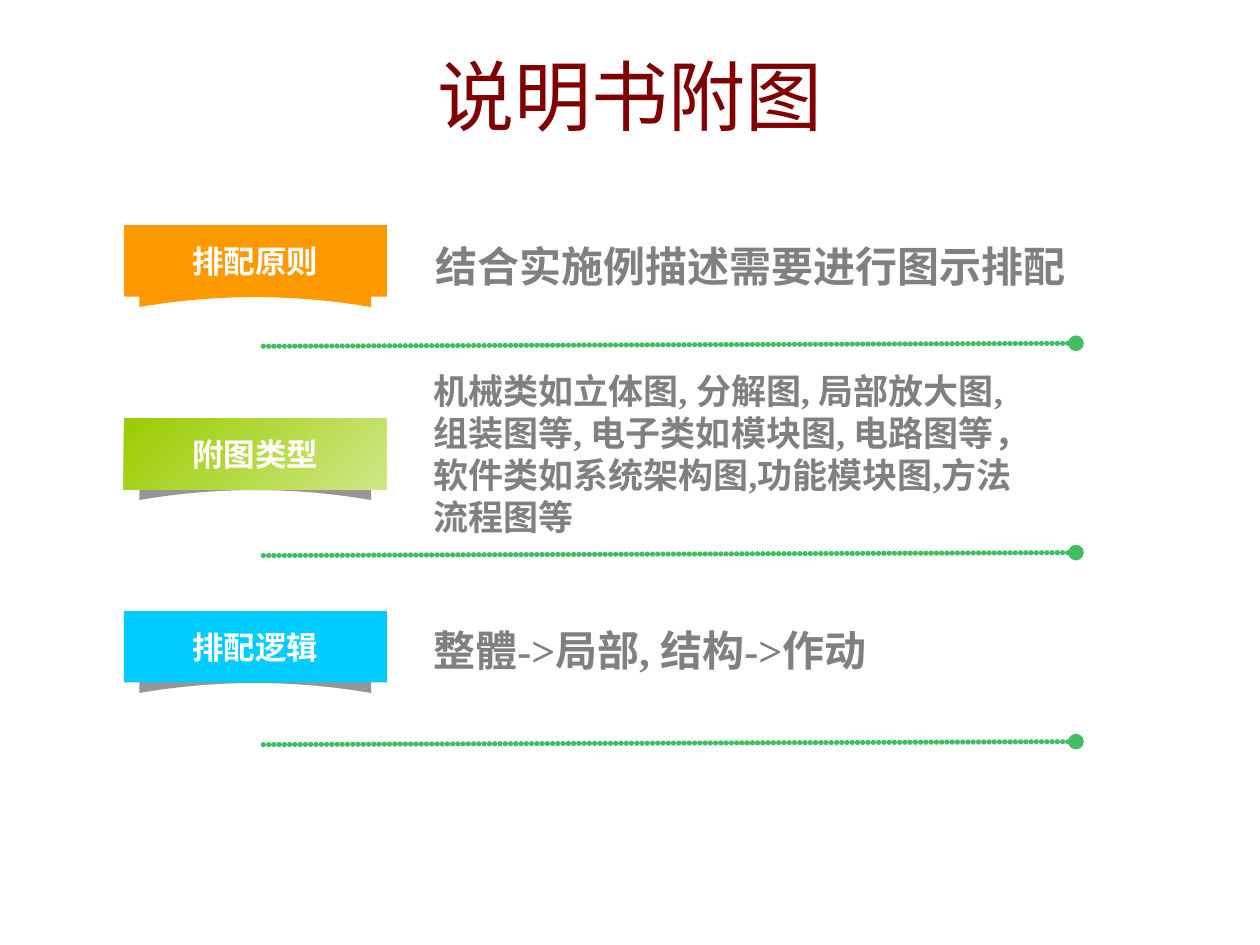
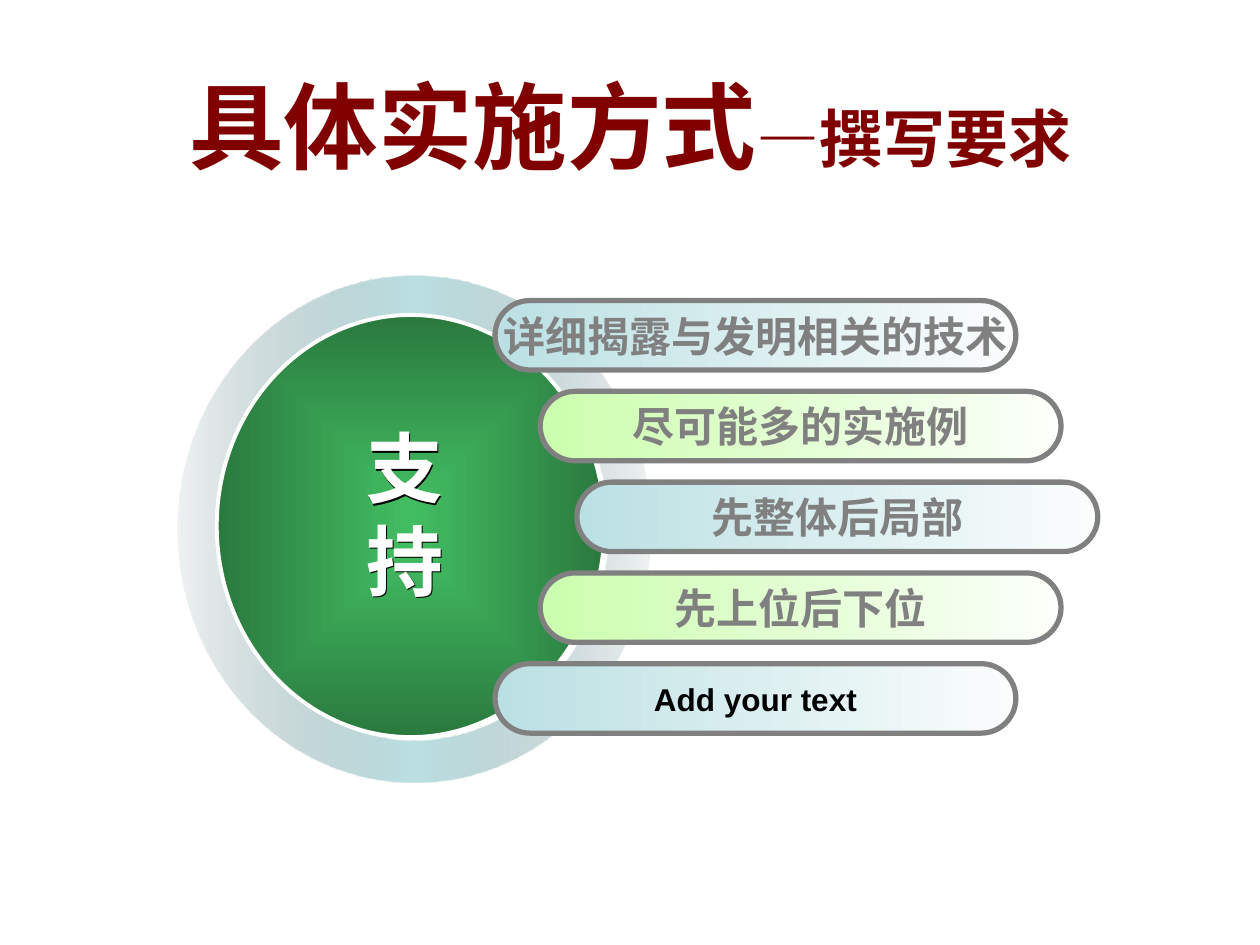
"""Build two slides on patent drawings and embodiment writing."""
from pptx import Presentation
from pptx import util as u
from pptx.dml.color import RGBColor
from pptx.enum import shapes, text
from pptx.oxml import parse_xml
from pptx.oxml.ns import nsdecls, qn

MAROON, GRAY, WHITE, GREEN = "800000", "808080", "FFFFFF", "42BE62"
SILVER, ICE = "969696", "BBE0E3"
CJK, SERIF, SANS = "Noto Sans CJK SC", "Times New Roman", "Arial"
ICE_FADE, LIME_FADE = [(0, ICE), (100, "FBFDFD")], [(0, "CBFEAE"), (100, "FCFFFA")]
HEADING = {"size": 24, "name": SERIF, "color": GRAY, "bold": True}


def rgb(value):
    """Turn a hex string into a colour."""
    return RGBColor.from_string(value)


def xml(tag, body="", attrs=""):
    """Make a drawing element from its tag, inner markup and attributes."""
    return parse_xml(f"<a:{tag} {nsdecls('a')} {attrs}>{body}</a:{tag}>")


def box(left, top, width, height):
    """Convert a rectangle in centimetres to lengths."""
    return [u.Cm(v) for v in (left, top, width, height)]


def add_run(p, words, size, name, color, bold=False):
    """Append one formatted run."""
    r = p.add_run()
    r.text = words
    for key, value in {"size": u.Pt(size), "name": name, "bold": bold}.items():
        setattr(r.font, key, value)
    r.font.color.rgb = rgb(color)
    r.font._element.find(qn("a:latin")).addnext(xml("ea", attrs=f'typeface="{CJK}"'))


def write(sp, words, fmt, align=text.PP_ALIGN.CENTER, anchor=text.MSO_ANCHOR.MIDDLE, wrap=False):
    """Fill a shape with one formatted paragraph."""
    tf = sp.text_frame
    for key, value in {"word_wrap": wrap, "vertical_anchor": anchor}.items():
        setattr(tf, key, value)
    p = tf.paragraphs[0]
    p.alignment = align
    p._p.get_or_add_pPr().set("hangingPunct", "0")
    add_run(p, words, **fmt)


def paint(sp, fill, angle=0, centred=False):
    """Give a shape a solid colour or a list of gradient stops."""
    sp.shadow.inherit = False
    sp.line.fill.background()
    sp.fill.solid()
    if isinstance(fill, str):
        sp.fill.fore_color.rgb = rgb(fill)
        return
    stops = ""
    for pos, color, *alpha in fill:
        fade = f'<a:alpha val="{alpha[0] * 1000}"/>' if alpha else ""
        stops += f'<a:gs pos="{pos * 1000}"><a:srgbClr val="{color}">{fade}</a:srgbClr></a:gs>'
    shade = f'<a:lin ang="{angle * 60000}" scaled="1"/>'
    if centred:
        sides = " ".join(f'{side}="50000"' for side in "ltrb")
        shade = f'<a:path path="rect"><a:fillToRect {sides}/></a:path>'
    spPr = sp._element.spPr
    spPr.replace(spPr.find(qn("a:solidFill")), xml("gradFill", f"<a:gsLst>{stops}</a:gsLst>{shade}"))


def outline(sp, color, width):
    """Draw the edge of a shape."""
    sp.line.color.rgb = rgb(color)
    sp.line.width = u.Pt(width)


def add_slide(prs, top, runs):
    """Add a slide whose title is made of formatted runs."""
    s = prs.slides.add_slide(prs.slide_layouts[5])
    sp = s.shapes.title
    sp.left, sp.top, sp.width, sp.height = box(1.9, top, 21.6, 3.18)
    tf = sp.text_frame
    tf.auto_size = text.MSO_AUTO_SIZE.NONE
    tf.vertical_anchor = text.MSO_ANCHOR.MIDDLE
    p = tf.paragraphs[0]
    p.alignment = text.PP_ALIGN.CENTER
    for words, size, name, bold in runs:
        add_run(p, words, size, name, MAROON, bold)
    return s


def add_fold(group, top, color):
    """Draw the curved paper fold that hangs below a banner."""
    left, width, steps = 2.81, 4.67, 20
    arc = []
    for i in range(steps + 1):
        t = 1 - 2 * i / steps
        arc.append((left + width * (1 + t) / 2, top + 1.45 + 0.2 * t * t))
    roof = [(left, top + 1.12), (left + width / 2, top + 0.94), (left + width, top + 1.12)]
    points = [(u.Cm(x), u.Cm(y)) for x, y in arc + roof]
    builder = group.shapes.build_freeform(*points[0])
    builder.add_line_segments(points[1:], close=True)
    paint(builder.convert_to_shape(), color)


def add_banner(s, top, label, fill, fold):
    """Add a labelled banner with its fold."""
    group = s.shapes.add_group_shape()
    add_fold(group, top, fold)
    sp = group.shapes.add_shape(shapes.MSO_SHAPE.RECTANGLE, *box(2.5, top, 5.3, 1.44))
    paint(sp, fill, angle=45)
    write(sp, label, {"size": 18, "name": "Calibri", "color": WHITE, "bold": True})


def add_divider(s, y):
    """Add a dotted rule that ends in a round dot."""
    line = s.shapes.add_connector(shapes.MSO_CONNECTOR.STRAIGHT, *box(5.31, y, 21.69, y - 0.06))
    outline(line, GREEN, 3)
    spPr = line._element.spPr
    ln = spPr.find(qn("a:ln"))
    ln.set("cap", "rnd")
    ln.append(xml("custDash", '<a:ds d="1000" sp="99000"/>'))
    ln.append(xml("tailEnd", attrs='type="oval"'))
    spPr.append(xml("effectLst"))


def add_note(s, area, words, size, wrap):
    """Add a grey explanatory text."""
    write(s.shapes.add_textbox(*box(*area)), words, {**HEADING, "size": size},
          text.PP_ALIGN.LEFT, text.MSO_ANCHOR.TOP, wrap)


def add_pill(s, left, top, words, fill, fmt):
    """Add a rounded bar with a centred label."""
    sp = s.shapes.add_shape(shapes.MSO_SHAPE.ROUNDED_RECTANGLE, *box(left, top, 10.5, 1.4))
    sp.adjustments[0] = 0.5
    paint(sp, fill)
    outline(sp, GRAY, 3)
    write(sp, words, fmt)


def add_hub(s):
    """Add the ellipse and the ring around it."""
    ring = s.shapes.add_shape(shapes.MSO_SHAPE.DONUT, *box(3.58, 5.55, 9.53, 10.23))
    ring.adjustments[0] = 0.09
    paint(ring, [(0, "7D9597", 12), (50, ICE), (100, "7D9597", 12)])
    core = s.shapes.add_shape(shapes.MSO_SHAPE.OVAL, *box(4.37, 6.35, 7.82, 8.51))
    paint(core, [(0, GREEN), (100, "2A793E")], centred=True)
    outline(core, WHITE, 2.25)


def add_caption(s, words):
    """Add the shadowed caption of the hub."""
    sp = s.shapes.add_textbox(*box(6.36, 8.36, 3.6, 3.99))
    write(sp, words, {"size": 44, "name": SANS, "color": WHITE, "bold": True},
          anchor=text.MSO_ANCHOR.TOP, wrap=True)
    shadow = '<a:outerShdw dist="17961" dir="2700000"><a:srgbClr val="000000"/></a:outerShdw>'
    sp._element.spPr.append(xml("effectLst", shadow))


def build_drawings(prs):
    """Build the slide on the drawings of a specification."""
    s = add_slide(prs, 0.32, [("说明书附图", 44, CJK, False)])
    banners = [("排配原则", "FF9900", "FF9900"),
               ("附图类型", [(0, "99CC00"), (100, "CFE786")], SILVER),
               ("排配逻辑", "00CCFF", SILVER)]
    for i, banner in enumerate(banners):
        add_banner(s, 4.54 + 3.89 * i, *banner)
    for y in (6.98, 11.2, 15.01):
        add_divider(s, y)
    types = ("机械类如立体图, 分解图, 局部放大图, 组装图等, 电子类如模块图, 电路图等，"
             "软件类如系统架构图,功能模块图,方法流程图等")
    add_note(s, (8.53, 4.72, 13.21, 1.27), "结合实施例描述需要进行图示排配", 24, False)
    add_note(s, (8.48, 7.32, 12.8, 3.66), types, 20, True)
    add_note(s, (8.49, 12.46, 12.01, 1.27), "整體->局部, 结构->作动", 24, True)


def build_embodiments(prs):
    """Build the slide on writing the embodiments."""
    s = add_slide(prs, 0.93, [("具体实施方式", 54, SANS, True), ("—", 36, CJK, True),
                              ("撰写要求", 36, SANS, True)])
    add_hub(s)
    plain = {"size": 18, "name": SANS, "color": "000000", "bold": True}
    pills = [(9.98, "详细揭露与发明相关的技术", HEADING), (10.89, "尽可能多的实施例", HEADING),
             (11.63, "先整体后局部", HEADING), (10.89, "先上位后下位", HEADING),
             (9.98, "Add your text", plain)]
    for i, (left, words, fmt) in enumerate(pills):
        add_pill(s, left, 6.06 + 1.83 * i, words, LIME_FADE if i % 2 else ICE_FADE, fmt)
    add_caption(s, "支持")


def main():
    """Build and save the presentation."""
    prs = Presentation()
    prs.slide_width, prs.slide_height = u.Cm(25.4), u.Cm(19.05)
    build_drawings(prs)
    build_embodiments(prs)
    prs.save("out.pptx")


if __name__ == "__main__":
    main()
